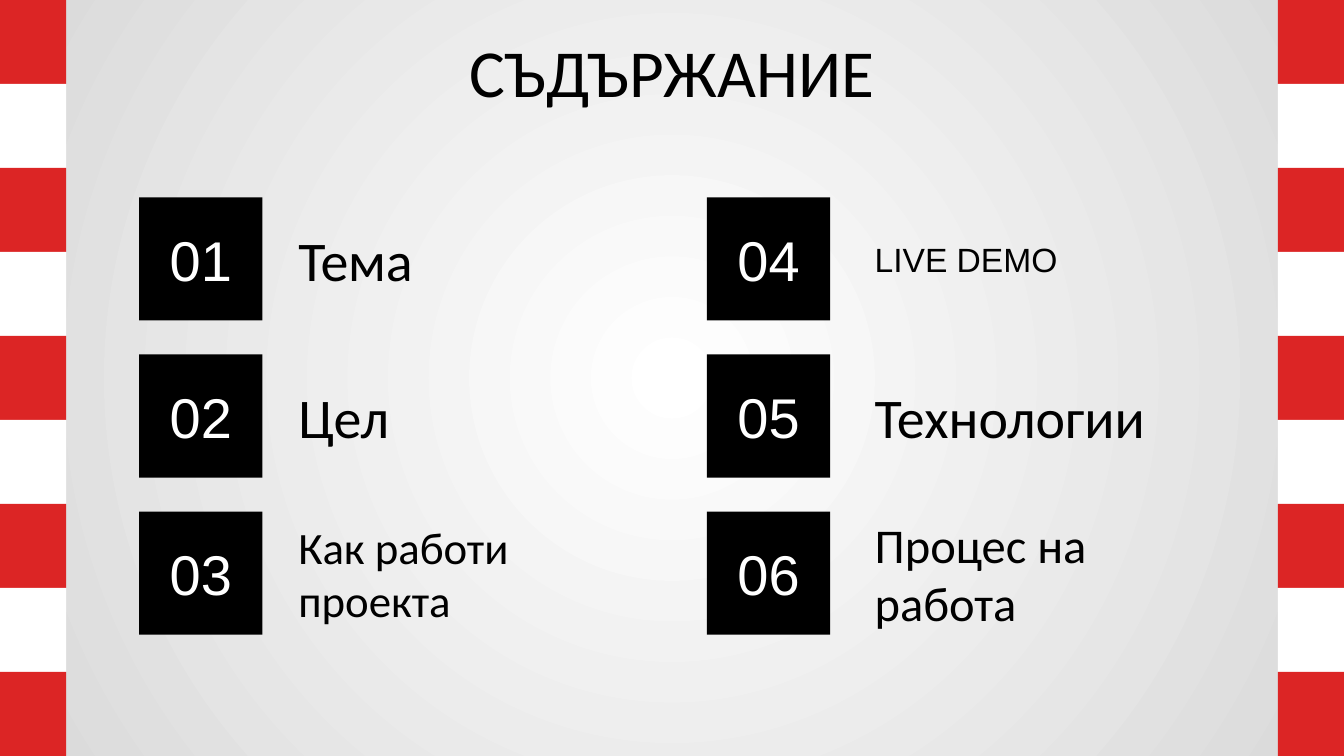
from dataclasses import dataclass

from lxml import etree
from pptx import Presentation
from pptx.dml.color import RGBColor
from pptx.enum.shapes import MSO_SHAPE
from pptx.enum.text import MSO_ANCHOR, PP_ALIGN
from pptx.oxml.ns import qn
from pptx.util import Cm, Pt

RECT = MSO_SHAPE.RECTANGLE
MIDDLE = MSO_ANCHOR.MIDDLE
LEFT, CENTER = PP_ALIGN.LEFT, PP_ALIGN.CENTER


@dataclass(frozen=True)
class Theme:
    red: RGBColor = RGBColor(0xDC, 0x25, 0x25)
    white: RGBColor = RGBColor(0xFF, 0xFF, 0xFF)
    black: RGBColor = RGBColor(0, 0, 0)
    gray: RGBColor = RGBColor(0xD9, 0xD9, 0xD9)
    sans: str = "Arial"
    body: str = "Calibri"
    title: int = 36
    large: int = 30
    mid: int = 26
    small: int = 24
    tiny: int = 18


THEME = Theme()
WIDTH, HEIGHT = 25.4, 14.29

# Label, font, size and label width (cm), by column
COLUMNS = [
    [("Тема", THEME.body, THEME.large, 6.53),
     ("Цел", THEME.body, THEME.large, 6.53),
     ("Как работи проекта", THEME.body, THEME.small, 6.53)],
    [("LIVE DEMO", THEME.sans, THEME.tiny, 6.53),
     ("Технологии", THEME.body, THEME.large, 6.53),
     ("Процес на работа", THEME.body, THEME.mid, 7.14)],
]


def write(shape, text, font, size, color, align, side=0.25):
    frame = shape.text_frame
    frame.word_wrap = True
    frame.vertical_anchor = MIDDLE
    frame.margin_left = frame.margin_right = Cm(side)
    frame.margin_top = frame.margin_bottom = Cm(0.25)
    frame.text = text
    para = frame.paragraphs[0]
    para.alignment = align
    para.font.name = font
    para.font.size = Pt(size)
    para.font.color.rgb = color


def add_block(slide, left, top, width, height, color):
    block = slide.shapes.add_shape(RECT, Cm(left), Cm(top), Cm(width), Cm(height))
    block.shadow.inherit = False
    block.fill.solid()
    block.fill.fore_color.rgb = color
    block.line.fill.background()
    return block


def add_back(slide):
    """Radial gradient, light in the centre."""
    fill = slide.background.fill
    fill.gradient()
    for stop, color in zip(fill.gradient_stops, (THEME.white, THEME.gray)):
        stop.color.rgb = color
    grad = slide.element.find(".//" + qn("a:gradFill"))
    grad.remove(grad.find(qn("a:lin")))
    path = etree.SubElement(grad, qn("a:path"), path="circle")
    half = {side: "50000" for side in "ltrb"}
    etree.SubElement(path, qn("a:fillToRect"), **half)


def add_stripes(slide, left, top, width, height, count=9):
    step = height / count
    for i in range(count):
        color = THEME.white if i % 2 else THEME.red
        add_block(slide, left, top + i * step, width, step, color)


def add_title(slide, left, top, width, height):
    title = slide.shapes.title
    title.left, title.top = Cm(left), Cm(top)
    title.width, title.height = Cm(width), Cm(height)
    write(title, "СЪДЪРЖАНИЕ", THEME.body, THEME.title, THEME.black, CENTER)


def add_column(slide, left, top, indent, items, first, side=2.33, step=2.97):
    """Numbered squares with a label beside each."""
    for i, (text, font, size, width) in enumerate(items):
        y = top + i * step
        square = add_block(slide, left, y, side, side, THEME.black)
        write(square, f"{first + i:02}", THEME.sans, THEME.large,
              THEME.white, CENTER, side=0)
        label = slide.shapes.add_textbox(Cm(left + indent), Cm(y), Cm(width), Cm(side))
        write(label, text, font, size, THEME.black, LEFT)


def main():
    deck = Presentation()
    deck.slide_width, deck.slide_height = Cm(WIDTH), Cm(HEIGHT)
    slide = deck.slides.add_slide(deck.slide_layouts[5])

    # Backdrop and striped edges
    add_back(slide)
    edge = 1.25
    for left in (0, WIDTH - edge):
        add_stripes(slide, left, 0, edge, HEIGHT)

    # Title and contents
    add_title(slide, 2, 0.53, 21.4, 1.6)
    add_column(slide, 2.63, 3.73, 2.76, COLUMNS[0], 1)
    add_column(slide, 13.36, 3.73, 2.92, COLUMNS[1], 4)
    deck.save("out.pptx")


if __name__ == "__main__":
    main()
